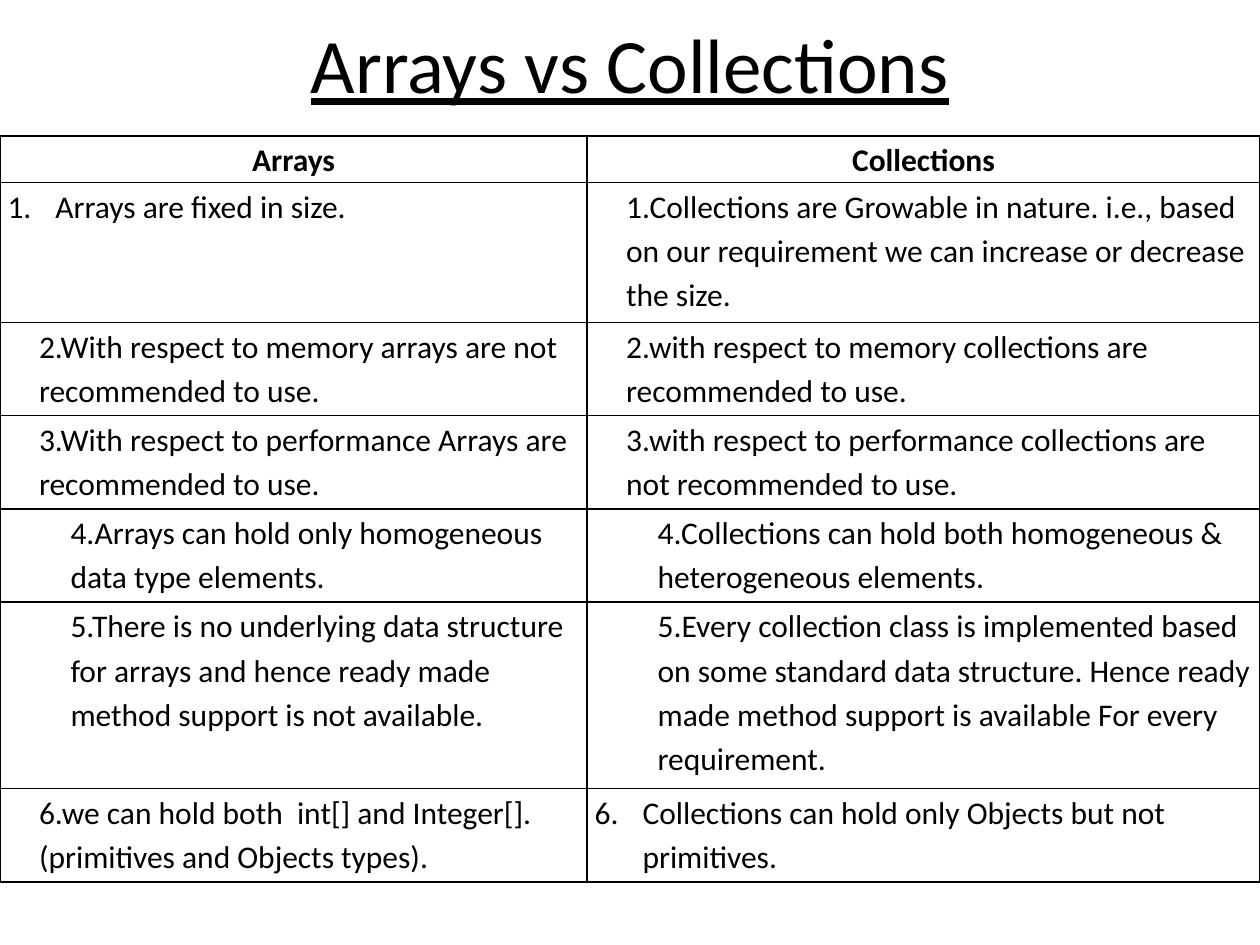
from lxml.etree import SubElement
from pptx import Presentation
from pptx.dml.color import RGBColor
from pptx.enum.text import MSO_ANCHOR as Anchor, PP_ALIGN as Align
from pptx.oxml.ns import qn
from pptx.util import Inches, Pt

COLORS = {"ink": "000000", "paper": "FFFFFF"}
COLUMNS = [4.66, 5.34]
ROW_HEIGHTS = [0.37, 1.11, 0.74, 0.74, 0.74, 1.48, 0.74]
HEADINGS = ["Arrays", "Collections"]
NUMBERED, NEAR, FAR = 0.38, 0.25, 0.5
COMPARISONS = [
    [(NUMBERED, "Arrays are fixed in size."),
     (NEAR, "1.Collections are Growable in nature. i.e., based on our requirement "
            "we can increase or decrease the size.")],
    [(NEAR, "2.With respect to memory arrays are not recommended to use."),
     (NEAR, "2.with respect to memory collections are recommended to use.")],
    [(NEAR, "3.With respect to performance Arrays are recommended to use."),
     (NEAR, "3.with respect to performance collections are not recommended to use.")],
    [(FAR, "4.Arrays can hold only homogeneous data type elements."),
     (FAR, "4.Collections can hold both homogeneous & heterogeneous elements.")],
    [(FAR, "5.There is no underlying data structure for arrays and hence ready made "
           "method support is not available."),
     (FAR, "5.Every collection class is implemented based on some standard data "
           "structure. Hence ready made method support is available For every requirement.")],
    [(NEAR, "6.we can hold both  int[] and Integer[]. (primitives and Objects types)."),
     (NUMBERED, "Collections can hold only Objects but not primitives.")],
]


class SlideBuilder:
    """Draws styled text and tables on one slide."""

    font = "Calibri"

    def __init__(self, slide):
        self.slide = slide

    def text(self, paragraph, text, align=Align.LEFT, **font_format):
        paragraph.alignment = align
        run = paragraph.add_run()
        run.text = text
        run.font.color.rgb = RGBColor.from_string(COLORS["ink"])
        for name, value in {"name": self.font, **font_format}.items():
            setattr(run.font, name, value)

    def title(self, text, left, top, width, height):
        shape = self.slide.shapes.add_textbox(*map(Inches, (left, top, width, height)))
        frame = shape.text_frame
        frame.word_wrap = True
        frame.vertical_anchor = Anchor.MIDDLE
        self.text(frame.paragraphs[0], text, Align.CENTER, size=Pt(44), underline=True)

    def table(self, left, top, columns, row_heights):
        size = (left, top, sum(columns), sum(row_heights))
        table = self.slide.shapes.add_table(
            len(row_heights), len(columns), *map(Inches, size)).table
        for column, width in zip(table.columns, columns):
            column.width = Inches(width)
        for row, height in zip(table.rows, row_heights):
            row.height = Inches(height)
        return table

    def cell(self, cell, text, align=Align.LEFT, indent=0, number=None, bold=False):
        margins = {"margin_left": 0.06, "margin_right": 0.06,
                   "margin_top": 0, "margin_bottom": 0}
        for name, value in margins.items():
            setattr(cell, name, Inches(value))
        paragraph = cell.text_frame.paragraphs[0]
        self.text(paragraph, text, align, size=Pt(18), bold=bold)
        paragraph.line_spacing = 1.15
        properties = paragraph._p.get_or_add_pPr()
        properties.set("marL", str(Inches(indent)))
        properties.set("indent", str(-Inches(indent) if number else 0))
        if number:
            SubElement(properties, qn("a:buFont"), typeface="+mj-lt")
            SubElement(properties, qn("a:buAutoNum"), type="arabicPeriod",
                       startAt=str(number))
        self.borders(cell)
        cell.fill.solid()
        cell.fill.fore_color.rgb = RGBColor.from_string(COLORS["paper"])

    def borders(self, cell):
        properties = cell._tc.get_or_add_tcPr()
        for side in ("lnL", "lnR", "lnT", "lnB"):
            line = SubElement(properties, qn(f"a:{side}"), w=str(Pt(1)))
            fill = SubElement(line, qn("a:solidFill"))
            SubElement(fill, qn("a:srgbClr"), val=COLORS["ink"])


presentation = Presentation()
presentation.slide_width = Inches(10)
presentation.slide_height = Inches(7.5)
builder = SlideBuilder(presentation.slides.add_slide(presentation.slide_layouts[6]))

builder.title("Arrays vs Collections", 0.5, 0, 9, 1)
table = builder.table(0, 1.08, COLUMNS, ROW_HEIGHTS)
for column, heading in enumerate(HEADINGS):
    builder.cell(table.cell(0, column), heading, Align.CENTER, bold=True)
for row, comparison in enumerate(COMPARISONS, start=1):
    for column, (indent, text) in enumerate(comparison):
        number = row if indent == NUMBERED else None
        builder.cell(table.cell(row, column), text, indent=indent, number=number)

presentation.save("out.pptx")
